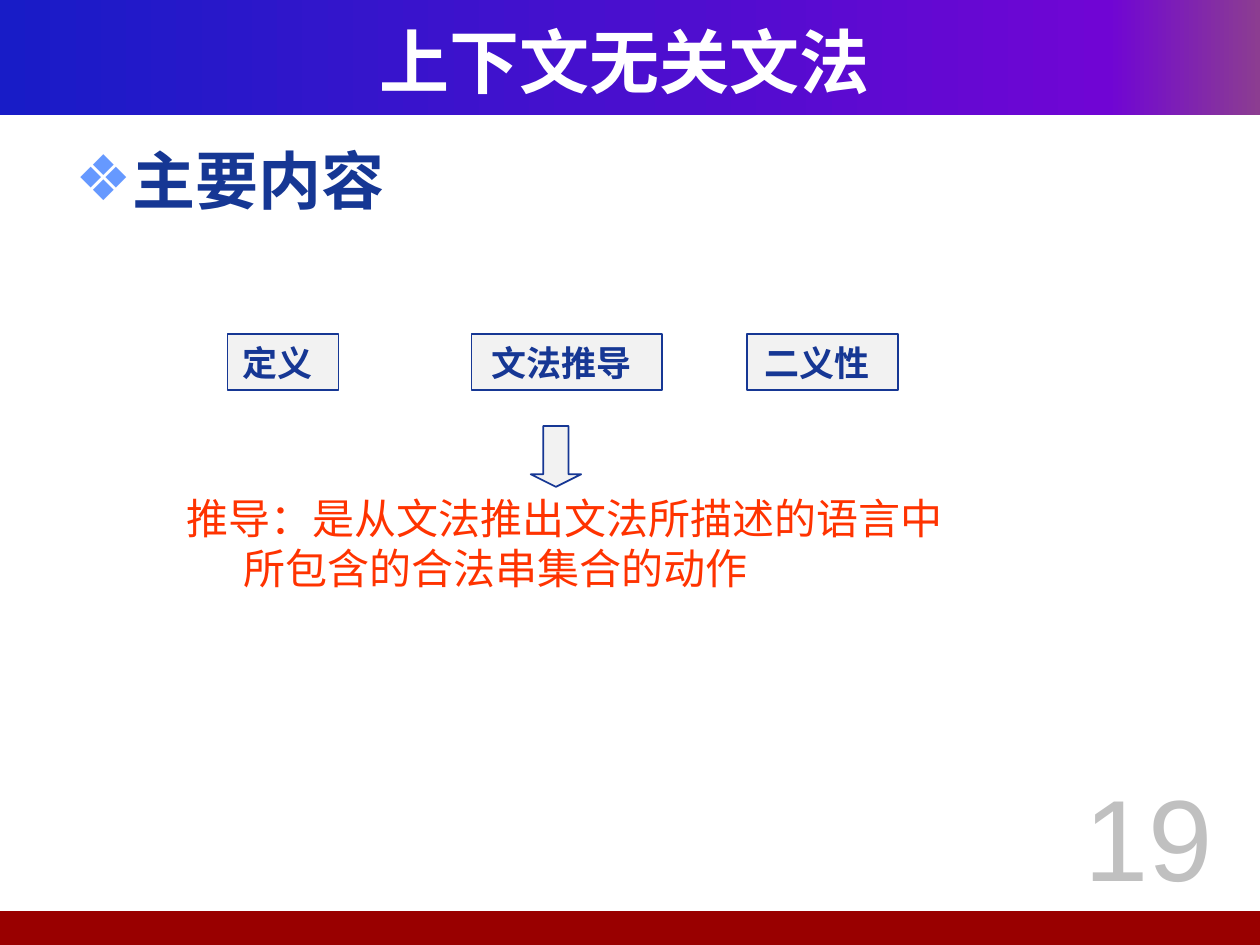
from lxml.etree import SubElement
from pptx import Presentation
from pptx.dml.color import RGBColor
from pptx.enum.dml import MSO_LINE
from pptx.enum.shapes import MSO_SHAPE
from pptx.enum.text import MSO_ANCHOR, MSO_AUTO_SIZE, PP_ALIGN
from pptx.oxml.ns import qn
from pptx.util import Pt

COLORS = {
    "white": "FFFFFF", "navy": "163794", "bullet": "6699FF", "panel": "F2F2F2",
    "footer": "990000", "number": "C0C0C0", "accent": "FF3300",
}
BANNER_STOPS = [(0, "181CC7"), (88, "7005D4"), (100, "8C3D91")]
SANS, MONO = "Noto Sans CJK SC", "Noto Sans Mono"


def color(name):
    return RGBColor.from_string(COLORS[name])


def place(shape, box):
    shape.left, shape.top, shape.width, shape.height = (Pt(value) for value in box)


def write(para, text, *, size, font, ink, bold=False, align=PP_ALIGN.LEFT):
    """Put one formatted span of text into a paragraph."""
    para.alignment = align
    span = para.add_run()
    span.text = text
    span.font.size, span.font.bold, span.font.name = Pt(size), bold, font
    span.font.color.rgb = color(ink)
    SubElement(span.font._element, qn("a:ea"), typeface=font)


def add_block(page, box, fill, line=None, kind=MSO_SHAPE.RECTANGLE):
    shape = page.shapes.add_shape(kind, *(Pt(value) for value in box))
    shape.shadow.inherit = False
    shape.fill.solid()
    shape.fill.fore_color.rgb = color(fill)
    if line:
        shape.line.color.rgb = color(line)
        shape.line.width = Pt(1)
        shape.line.dash_style = MSO_LINE.SOLID
    else:
        shape.line.fill.background()
    return shape


def add_banner(page, box):
    banner = add_block(page, box, "navy")
    banner.fill.gradient()
    banner.fill.gradient_angle = 0
    stops = banner._element.spPr.find(qn("a:gradFill")).find(qn("a:gsLst"))
    for stop in list(stops):
        stops.remove(stop)
    for percent, shade in BANNER_STOPS:
        stop = SubElement(stops, qn("a:gs"), pos=str(percent * 1000))
        SubElement(stop, qn("a:srgbClr"), val=shade)


def add_title(page, box, text):
    title = page.shapes.title
    place(title, box)
    title.text_frame.vertical_anchor = MSO_ANCHOR.MIDDLE
    title.text_frame.auto_size = MSO_AUTO_SIZE.NONE
    write(title.text_frame.paragraphs[0], text, size=40, font=MONO, ink="white",
          bold=True, align=PP_ALIGN.CENTER)


def add_body(page, box, text):
    body = page.placeholders[1]
    place(body, box)
    para = body.text_frame.paragraphs[0]
    write(para, text, size=36, font=MONO, ink="navy", bold=True)
    # Diamond bullet with a hanging indent
    settings = para._p.get_or_add_pPr()
    settings.set("marL", str(Pt(27)))
    settings.set("indent", str(Pt(-27)))
    bullet_color = SubElement(settings, qn("a:buClr"))
    SubElement(bullet_color, qn("a:srgbClr"), val=COLORS["bullet"])
    SubElement(settings, qn("a:buChar"), char="❖")


def add_topics(page, top, height, topics):
    for left, width, text in topics:
        topic = add_block(page, (left, top, width, height), "panel", "navy")
        frame = topic.text_frame
        frame.word_wrap = False
        frame.vertical_anchor = MSO_ANCHOR.MIDDLE
        frame.margin_right = Pt(13)
        write(frame.paragraphs[0], text, size=20, font=SANS, ink="navy",
              bold=True, align=PP_ALIGN.CENTER)


def add_explanation(page, box, lines):
    frame = page.shapes.add_textbox(*(Pt(value) for value in box)).text_frame
    frame.word_wrap = True
    for index, (text, indent) in enumerate(lines):
        para = frame.add_paragraph() if index else frame.paragraphs[0]
        para.line_spacing = Pt(28.6)
        write(para, text, size=24, font=SANS, ink="accent")
        para._p.get_or_add_pPr().set("marL", str(Pt(indent)))


def add_page_number(page, box, number):
    frame = page.shapes.add_textbox(*(Pt(value) for value in box)).text_frame
    frame.word_wrap = True
    write(frame.paragraphs[0], number, size=66, font="Arial", ink="number",
          align=PP_ALIGN.CENTER)


def main():
    deck = Presentation()
    deck.slide_width, deck.slide_height = Pt(720), Pt(540)
    page = deck.slides.add_slide(deck.slide_layouts[1])

    # Banner and footer bars, sent behind the placeholders
    add_banner(page, (0, 0, 720, 65.5))
    add_block(page, (-3, 520.6, 723, 19.4), "footer")
    tree = page.shapes._spTree
    for holder in list(page.placeholders):
        tree.append(holder._element)

    # Title, heading and page number
    add_title(page, (23.8, 12.2, 666, 44.6), "上下文无关文法")
    add_body(page, (36, 77, 648, 413.3), "主要内容")
    add_page_number(page, (592.6, 434.2, 127.4, 102.2), "19")

    # Topics, with the arrow from the middle one to its explanation
    add_explanation(page, (99.4, 277.9, 459.4, 65.5), [
        ("推导：是从文法推出文法所描述的语言中", 0),
        ("所包含的合法串集合的动作", 32.4),
    ])
    add_topics(page, 190.8, 32.2, [
        (130, 63.4, "定义"),
        (269.5, 108.7, "文法推导"),
        (427, 86, "二义性"),
    ])
    arrow = add_block(page, (303.3, 243.4, 28.8, 34.8), "panel", "navy",
                      MSO_SHAPE.DOWN_ARROW)
    arrow.adjustments[0], arrow.adjustments[1] = 0.5, 0.25

    deck.save("out.pptx")


if __name__ == "__main__":
    main()
